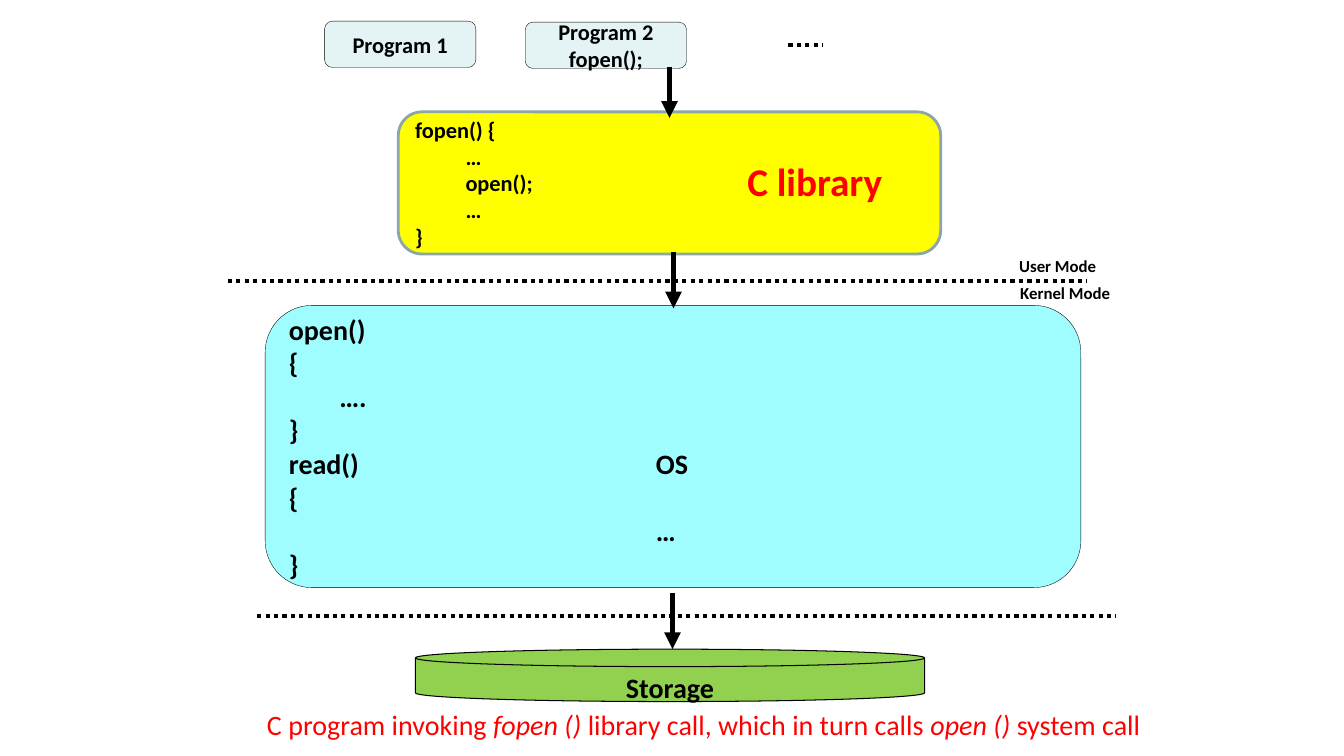
from dataclasses import dataclass

from lxml import etree
from pptx import Presentation
from pptx.dml.color import RGBColor
from pptx.enum.dml import MSO_LINE
from pptx.enum.shapes import MSO_CONNECTOR, MSO_SHAPE
from pptx.enum.text import MSO_ANCHOR, MSO_AUTO_SIZE, PP_ALIGN
from pptx.oxml.ns import qn
from pptx.util import Pt

EMU_PER_PX = 9144
STRAIGHT = MSO_CONNECTOR.STRAIGHT
DOTTED = MSO_LINE.ROUND_DOT
ROUNDED, DISK = MSO_SHAPE.ROUNDED_RECTANGLE, MSO_SHAPE.FLOWCHART_MAGNETIC_DISK
TOP, MIDDLE = MSO_ANCHOR.TOP, MSO_ANCHOR.MIDDLE
LEFT, CENTER = PP_ALIGN.LEFT, PP_ALIGN.CENTER
FIT_SHAPE = MSO_AUTO_SIZE.SHAPE_TO_FIT_TEXT


@dataclass(frozen=True)
class Theme:
    font: str = "Calibri"
    ink: str = "000000"
    accent: str = "FF0000"
    program: str = "E4F3F4"
    library: str = "FFFF00"
    library_edge: str = "8AA6A8"
    kernel: str = "9FFDFF"
    storage: str = "92D050"
    mode_size: int = 12
    code_size: int = 16
    body_size: int = 20
    title_size: int = 28
    hairline: float = 0.25
    disk_edge: float = 0.75
    library_line: int = 2
    dots: int = 3
    arrow: int = 4


def px(*lengths):
    return [length * EMU_PER_PX for length in lengths]


def rgb(color):
    return RGBColor.from_string(color)


class Diagram:
    def __init__(self, slide, theme):
        self.shapes = slide.shapes
        self.theme = theme

    def fill_text(self, frame, paragraphs, size, color=None, bold=True, align=CENTER,
                  tab_stop=None):
        """Fill a frame; text between asterisks is italic, tab_stop is for tabs inside a line."""
        for index, line in enumerate(paragraphs):
            paragraph = frame.add_paragraph() if index else frame.paragraphs[0]
            paragraph.alignment = align
            if tab_stop and "\t" in line.lstrip("\t"):
                tabs = etree.SubElement(paragraph._p.get_or_add_pPr(), qn("a:tabLst"))
                etree.SubElement(tabs, qn("a:tab"), pos=str(tab_stop * EMU_PER_PX), algn="l")
            for part, words in enumerate(line.split("*")):
                run = paragraph.add_run()
                run.text = words
                style = {"name": self.theme.font, "size": Pt(size), "bold": bold,
                         "italic": part % 2 == 1}
                for attribute, value in style.items():
                    setattr(run.font, attribute, value)
                run.font.color.rgb = rgb(color or self.theme.ink)

    def block(self, box, paragraphs, size, fill=None, edge=None, weight=None,
              kind=ROUNDED, anchor=MIDDLE, margins=None, **text_style):
        block = self.shapes.add_shape(kind, *px(*box))
        block.shadow.inherit = False
        if fill:
            block.fill.solid()
            block.fill.fore_color.rgb = rgb(fill)
        else:
            block.fill.background()
        if weight:
            block.line.color.rgb = rgb(edge or self.theme.ink)
            block.line.width = Pt(weight)
        else:
            block.line.fill.background()
        frame = block.text_frame
        frame.word_wrap = True
        frame.vertical_anchor = anchor
        if margins:
            sides = ("margin_left", "margin_top", "margin_right", "margin_bottom")
            for side, margin in zip(sides, px(*margins)):
                setattr(frame, side, margin)
        self.fill_text(frame, paragraphs, size, **text_style)

    def label(self, box, text, size, **text_style):
        frame = self.shapes.add_textbox(*px(*box)).text_frame
        frame.word_wrap = False
        frame.auto_size = FIT_SHAPE
        self.fill_text(frame, [text], size, **text_style)

    def line(self, start, end, weight):
        line = self.shapes.add_connector(STRAIGHT, *px(*start, *end))
        line.line.color.rgb = rgb(self.theme.ink)
        line.line.width = Pt(weight)
        etree.SubElement(line._element.spPr, qn("a:effectLst"))
        return line

    def dotted(self, left, right, y):
        self.line((left, y), (right, y), self.theme.dots).line.dash_style = DOTTED

    def arrow_down(self, x, top, bottom):
        arrow = self.line((x, top), (x, bottom), self.theme.arrow)
        etree.SubElement(arrow.line._get_or_add_ln(), qn("a:tailEnd"), type="triangle")


def main():
    deck = Presentation()
    deck.slide_width, deck.slide_height = px(1333, 750)
    theme = Theme()
    diagram = Diagram(deck.slides.add_slide(deck.slide_layouts[6]), theme)

    diagram.dotted(226, 1078, 279)
    diagram.label((1000, 249, 98, 30), "User Mode", theme.mode_size)
    diagram.label((1001, 276, 111, 30), "Kernel Mode", theme.mode_size)

    programs = [((521, 22, 160, 46), ["Program 2", "fopen();"]),
                ((322, 21, 150, 46), ["Program 1"])]
    for box, lines in programs:
        diagram.block(box, lines, theme.code_size, theme.program, weight=theme.hairline)
    diagram.dotted(782, 816, 45)

    diagram.block((395, 111, 538, 141), ["fopen() {", "\t…", "\topen();", "\t…", "}"],
                  theme.code_size, theme.library, theme.library_edge, theme.library_line,
                  align=LEFT)
    diagram.arrow_down(664, 66, 117)
    diagram.block((714, 156, 188, 46), ["C library"], theme.title_size, color=theme.accent)

    diagram.block((412, 644, 505, 52), ["Storage"], theme.body_size, theme.storage,
                  weight=theme.disk_edge, kind=DISK, anchor=TOP, margins=(7, 4, 7, 4))
    diagram.dotted(255, 1107, 611)
    diagram.block((263, 303, 809, 280),
                  ["open()", "{", "\t….", "}", "read()\tOS", "{", "\t…", "}"],
                  theme.body_size, theme.kernel, weight=theme.hairline,
                  align=LEFT, tab_stop=364)
    diagram.arrow_down(668, 250, 306)
    diagram.arrow_down(667, 588, 644)

    diagram.label((255, 697, 894, 44),
                  "C program invoking *fopen () *library call, which in turn calls "
                  "*open () *system call",
                  theme.body_size, color=theme.accent, bold=False, align=LEFT)

    deck.save("out.pptx")


if __name__ == "__main__":
    main()
